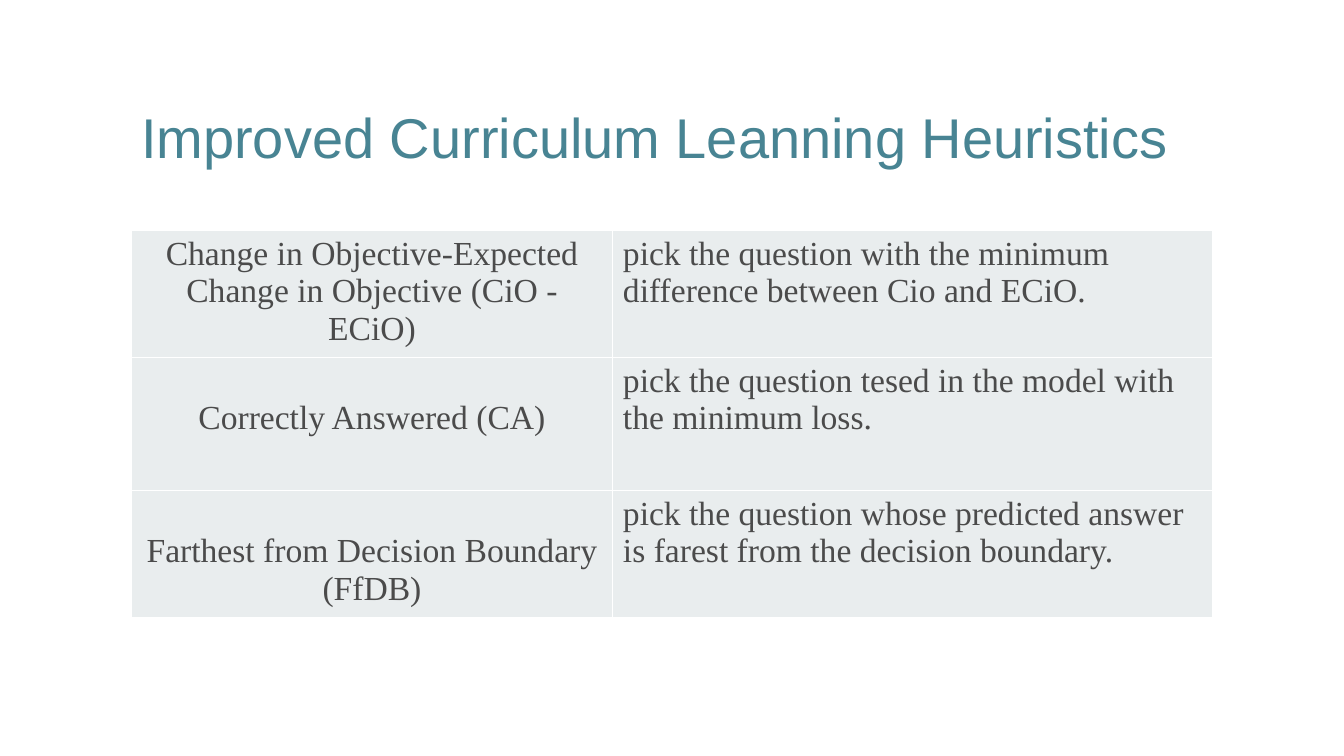
from dataclasses import dataclass

from lxml import etree
from pptx import Presentation
from pptx.dml.color import RGBColor
from pptx.enum.text import MSO_ANCHOR, MSO_AUTO_SIZE, PP_ALIGN
from pptx.oxml.ns import qn
from pptx.slide import Slide
from pptx.table import _Cell
from pptx.util import Pt

LEFT, CENTER = PP_ALIGN.LEFT, PP_ALIGN.CENTER
TOP, MIDDLE = MSO_ANCHOR.TOP, MSO_ANCHOR.MIDDLE
TITLE_COLOR, TEXT_COLOR = "488493", "4B4B4B"
CELL_FILL, BORDER_COLOR = "E9EDEE", "FFFFFF"
CONTENT_LEFT, CONTENT_WIDTH = 93.6, 772.5
NAME_WIDTH = 344.2
CELL_MARGIN, LINE_HEIGHT = 3.6, 26.6


@dataclass
class Heuristic:
    name: str
    rule: str
    row_height: float
    lines_above_name: int


HEURISTICS = [
    Heuristic("Change in Objective-Expected Change in Objective (CiO - ECiO)",
              "pick the question with the minimum difference between Cio and ECiO.", 90.7, 0),
    Heuristic("Correctly Answered (CA)",
              "pick the question tesed in the model with the minimum loss.", 95, 1),
    Heuristic("Farthest from Decision Boundary (FfDB)",
              "pick the question whose predicted answer is farest from the decision boundary.", 90.7, 1),
]


def color(value: str) -> RGBColor:
    return RGBColor.from_string(value)


def add_title(page: Slide, text: str) -> None:
    title = page.shapes.title
    title.left, title.top = Pt(CONTENT_LEFT), Pt(64.8)
    title.width, title.height = Pt(CONTENT_WIDTH), Pt(70.6)
    frame = title.text_frame
    frame.text = text
    frame.auto_size = MSO_AUTO_SIZE.NONE
    frame.vertical_anchor = MIDDLE
    para = frame.paragraphs[0]
    para.alignment, para.line_spacing = LEFT, 0.9
    para.font.name, para.font.size = "Arial", Pt(40)
    para.font.color.rgb = color(TITLE_COLOR)


def add_borders(cell: _Cell) -> None:
    properties = cell._tc.get_or_add_tcPr()
    for side in ("lnL", "lnR", "lnT", "lnB"):
        line = etree.SubElement(properties, qn(f"a:{side}"), w=str(Pt(1)))
        fill = etree.SubElement(line, qn("a:solidFill"))
        etree.SubElement(fill, qn("a:srgbClr"), val=BORDER_COLOR)


def fill_cell(cell: _Cell, text: str, alignment: PP_ALIGN, lines_above: int = 0) -> None:
    add_borders(cell)
    cell.fill.solid()
    cell.fill.fore_color.rgb = color(CELL_FILL)
    cell.vertical_anchor = TOP
    cell.margin_top = Pt(CELL_MARGIN + lines_above * LINE_HEIGHT)
    cell.text = text
    para = cell.text_frame.paragraphs[0]
    para.alignment = alignment
    para.font.name, para.font.size = "Times New Roman", Pt(24)
    para.font.color.rgb = color(TEXT_COLOR)


def add_heuristics_table(page: Slide) -> None:
    height = sum(heuristic.row_height for heuristic in HEURISTICS)
    table = page.shapes.add_table(len(HEURISTICS), 2, Pt(CONTENT_LEFT), Pt(164.9),
                                  Pt(CONTENT_WIDTH), Pt(height)).table
    table.first_row = table.horz_banding = False
    table.columns[0].width = Pt(NAME_WIDTH)
    table.columns[1].width = Pt(CONTENT_WIDTH - NAME_WIDTH)
    for row, heuristic in zip(table.rows, HEURISTICS):
        row.height = Pt(heuristic.row_height)
        name_cell, rule_cell = row.cells
        fill_cell(name_cell, heuristic.name, CENTER, heuristic.lines_above_name)
        fill_cell(rule_cell, heuristic.rule, LEFT)


def main() -> None:
    deck = Presentation()
    deck.slide_width, deck.slide_height = Pt(960), Pt(540)
    page = deck.slides.add_slide(deck.slide_layouts.get_by_name("Title Only"))
    add_title(page, "Improved Curriculum Leanning Heuristics")
    add_heuristics_table(page)
    deck.save("out.pptx")


if __name__ == "__main__":
    main()
